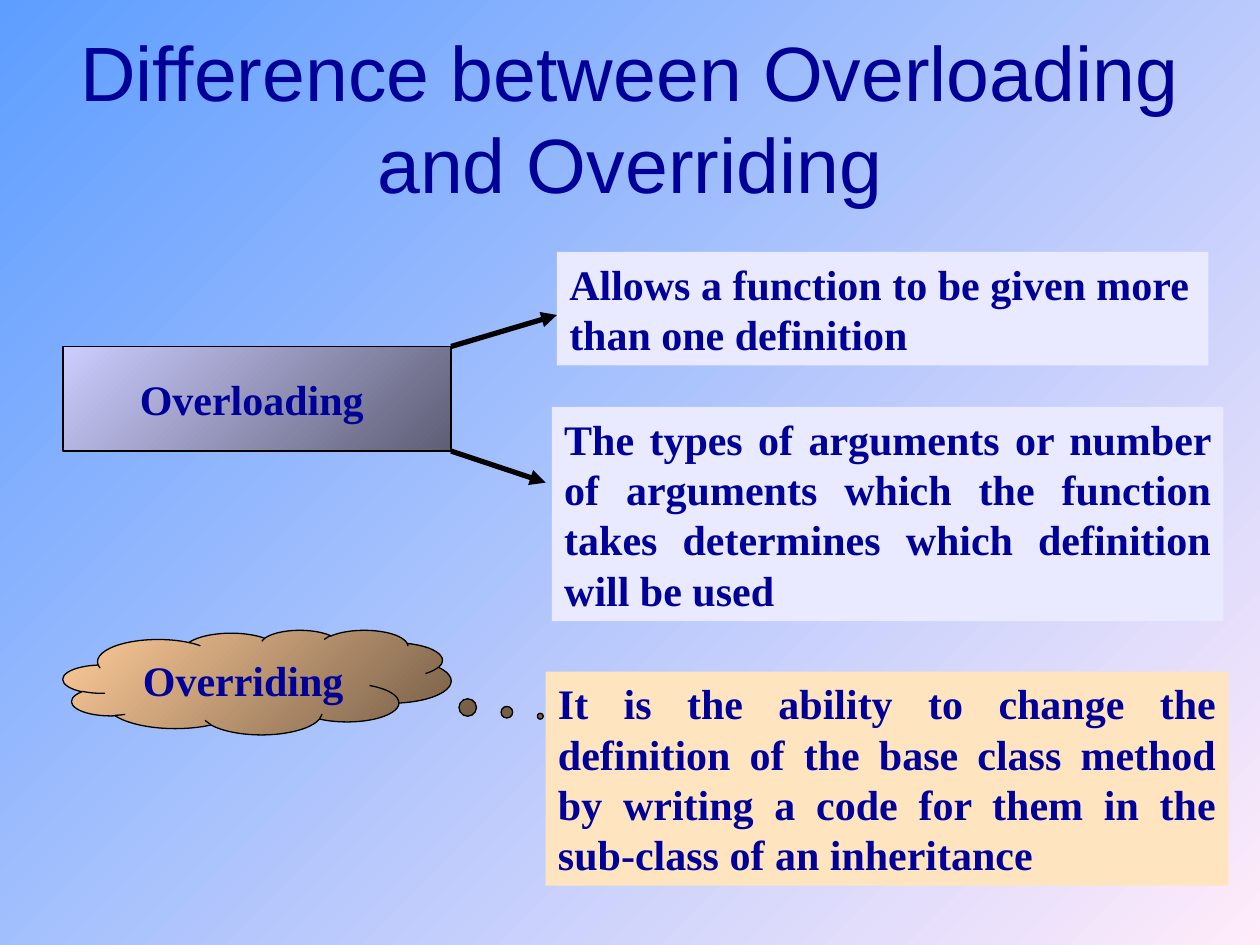
from pptx import Presentation
from pptx import util as u
from pptx.dml.color import RGBColor
from pptx.enum import shapes, text
from pptx.oxml import parse_xml
from pptx.oxml.ns import nsdecls, qn

NAVY = "000099"
BLACK = "000000"


def paint(fill, *colors):
    """Fill with one colour, or with a gradient from top left to bottom right."""
    if len(colors) == 1:
        fill.solid()
        fill.fore_color.rgb = RGBColor.from_string(colors[0])
        return
    fill.gradient()
    fill.gradient_angle = 315
    for stop, color in zip(fill.gradient_stops, colors):
        stop.color.rgb = RGBColor.from_string(color)


def write(shape, words, size=24, font="Times New Roman", bold=True, wrap=True,
          align=text.PP_ALIGN.CENTER, anchor=text.MSO_ANCHOR.MIDDLE, before=0):
    frame = shape.text_frame
    frame.word_wrap = wrap
    frame.vertical_anchor = anchor
    para = frame.paragraphs[0]
    para.alignment = align
    para.space_before = u.Pt(before)
    span = para.add_run()
    span.text = words
    span.font.size = u.Pt(size)
    span.font.name = font
    span.font.bold = bold
    paint(span.font.fill, NAVY)


deck = Presentation()
deck.slide_width, deck.slide_height = u.Inches(10), u.Inches(7.5)
page = deck.slides.add_slide(deck.slide_layouts[6])
paint(page.background.fill, "5E9EFF", "FFEBFA")

# Title
title = page.shapes.add_textbox(u.Inches(0.5), u.Inches(0.3), u.Inches(9), u.Inches(1.25))
write(title, "Difference between Overloading and Overriding",
      size=44, font="Arial", bold=False)

# The two terms
terms = [
    ("Overloading ", shapes.MSO_SHAPE.RECTANGLE, 2.75, "CCCCFF", "5E5E76"),
    ("Overriding", shapes.MSO_SHAPE.CLOUD_CALLOUT, 5, "FFCC99", "765E47"),
]
for words, kind, top, light, dark in terms:
    term = page.shapes.add_shape(kind, u.Inches(0.5), u.Inches(top),
                                 u.Inches(3.08), u.Inches(0.83))
    term.shadow.inherit = False
    paint(term.fill, light, dark)
    paint(term.line.fill, BLACK)
    term.line.width = u.Pt(0.75)
    if kind == shapes.MSO_SHAPE.CLOUD_CALLOUT:
        term.adjustments[0], term.adjustments[1] = 0.73, 0.325
    write(term, words, wrap=False)

# Explanations
LEFT, JUSTIFY = text.PP_ALIGN.LEFT, text.PP_ALIGN.JUSTIFY
explanations = [
    (4.42, 2, 5.17, 0.9, "E9E9FF", LEFT,
     "Allows a function to be given more than one definition"),
    (4.38, 3.23, 5.33, 1.7, "E9E9FF", JUSTIFY,
     "The types of arguments or number of arguments which the function takes "
     "determines which definition will be used"),
    (4.33, 5.33, 5.42, 1.7, "FFE5BF", JUSTIFY,
     "It is the ability to change the definition of the base class method by "
     "writing a code for them in the sub-class of an inheritance"),
]
for left, top, width, height, color, align, words in explanations:
    box = page.shapes.add_textbox(u.Inches(left), u.Inches(top),
                                  u.Inches(width), u.Inches(height))
    paint(box.fill, color)
    write(box, words, align=align, anchor=text.MSO_ANCHOR.TOP, before=15)
    box.text_frame.auto_size = text.MSO_AUTO_SIZE.SHAPE_TO_FIT_TEXT

# Arrows from the right corners of the Overloading box
for start_y, end_x, end_y in [(2.75, 4.42, 2.5), (3.58, 4.33, 3.83)]:
    arrow = page.shapes.add_connector(
        shapes.MSO_CONNECTOR.STRAIGHT, u.Inches(3.58), u.Inches(start_y),
        u.Inches(end_x), u.Inches(end_y))
    paint(arrow.line.fill, BLACK)
    arrow.line.width = u.Pt(3)
    properties = arrow._element.spPr
    properties.find(qn("a:ln")).append(
        parse_xml(f'<a:tailEnd {nsdecls("a")} type="triangle"/>'))
    properties.append(parse_xml(f'<a:effectLst {nsdecls("a")}/>'))

deck.save("out.pptx")
